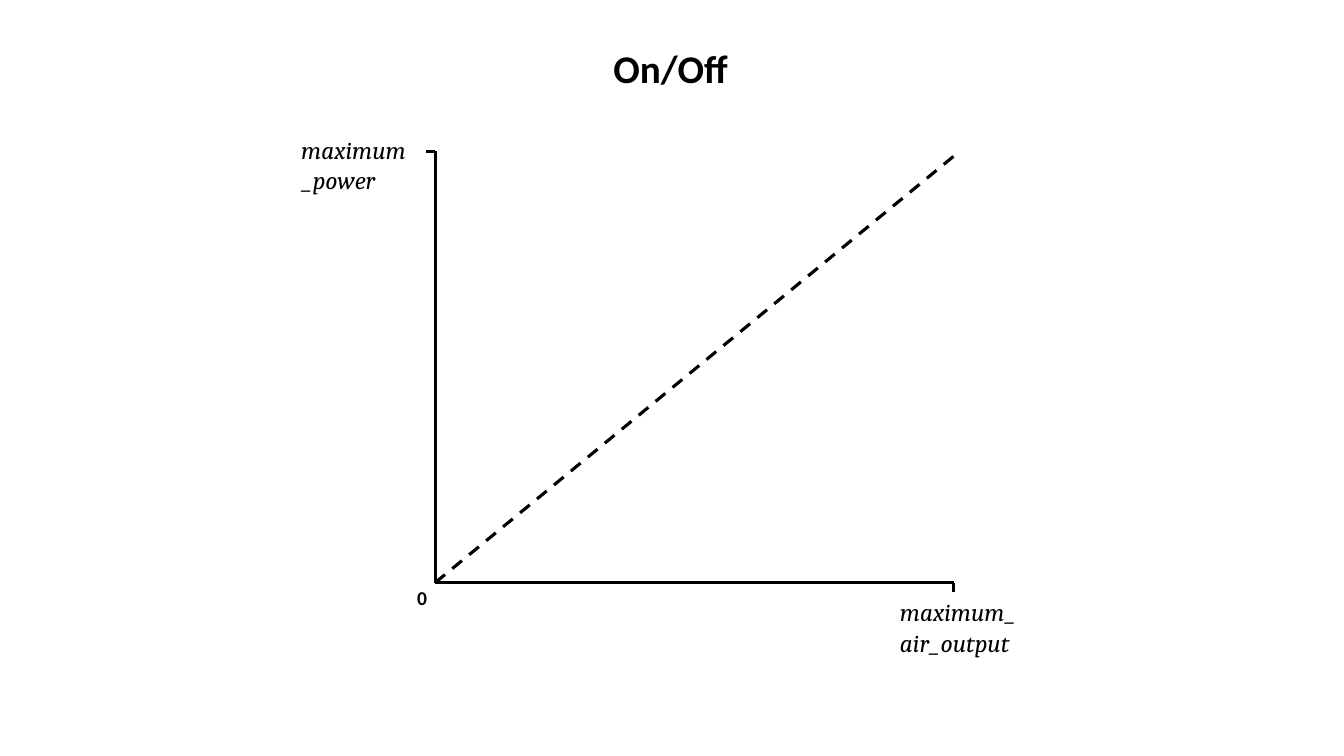
from pptx import Presentation
from pptx.dml.color import RGBColor
from pptx.enum.dml import MSO_LINE
from pptx.enum.shapes import MSO_CONNECTOR
from pptx.enum.text import MSO_AUTO_SIZE
from pptx.oxml.ns import qn
from pptx.util import Cm, Pt
from lxml import etree

# Content: text, left, top, width, height, size, font, bold, italic, wrap
COLORS = {"ink": "000000"}
LABELS = [
    ("maximum_power", 7.34, 3.25, 3.3, 1.8, 18, "Cambria", False, True, True),
    ("maximum_air_output", 22.43, 14.91, 3.58, 1.8, 18, "Cambria", False, True, True),
    ("0", 10.26, 14.63, 0.76, 0.86, 14, "Calibri", True, False, False),
    ("On/Off", 15.21, 0.99, 3.45, 1.45, 28, "Calibri", True, False, False),
]

# Plot area in centimetres
LEFT, RIGHT, TOP, BASE = 10.97, 24.03, 3.81, 14.68
TICK, DROP = 0.23, 0.13
LINES = [
    (LEFT, TOP, LEFT, BASE, None),                        # power axis
    (LEFT, BASE, RIGHT, BASE, None),                      # air axis
    (LEFT, TOP, LEFT - TICK, TOP, None),                  # power tick
    (RIGHT, BASE, RIGHT, BASE + TICK, None),              # air tick
    (LEFT, BASE, RIGHT, TOP + DROP, MSO_LINE.DASH),       # trend
]

deck = Presentation()
deck.slide_width, deck.slide_height = Cm(33.87), Cm(19.05)
slide = deck.slides.add_slide(deck.slide_layouts[6])
ink = RGBColor.from_string(COLORS["ink"])


def add_line(x1, y1, x2, y2, dash):
    ends = [Cm(v) for v in (x1, y1, x2, y2)]
    line = slide.shapes.add_connector(MSO_CONNECTOR.STRAIGHT, *ends)
    line.line.color.rgb = ink
    line.line.width = Pt(2.25)
    if dash:
        line.line.dash_style = dash
    etree.SubElement(line._element.spPr, qn("a:effectLst"))


def add_label(text, left, top, width, height, size, face, bold, italic, wrap):
    box = slide.shapes.add_textbox(Cm(left), Cm(top), Cm(width), Cm(height))
    frame = box.text_frame
    frame.word_wrap = wrap
    frame.auto_size = MSO_AUTO_SIZE.SHAPE_TO_FIT_TEXT
    run = frame.paragraphs[0].add_run()
    run.text = text
    font = run.font
    font.name, font.size = face, Pt(size)
    font.bold, font.italic = bold, italic
    font.color.rgb = ink


# Draw the axes and trend, then the labels
for item in LINES:
    add_line(*item)
for item in LABELS:
    add_label(*item)

deck.save("out.pptx")
